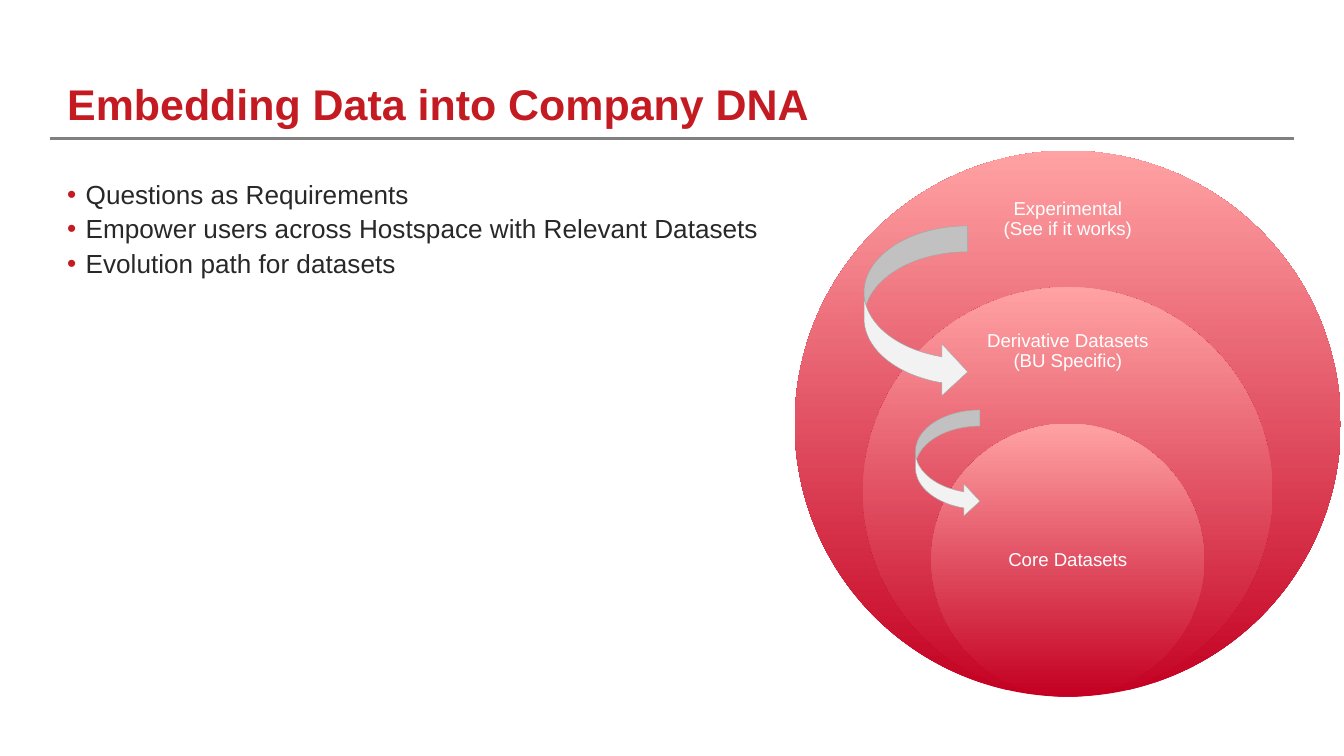
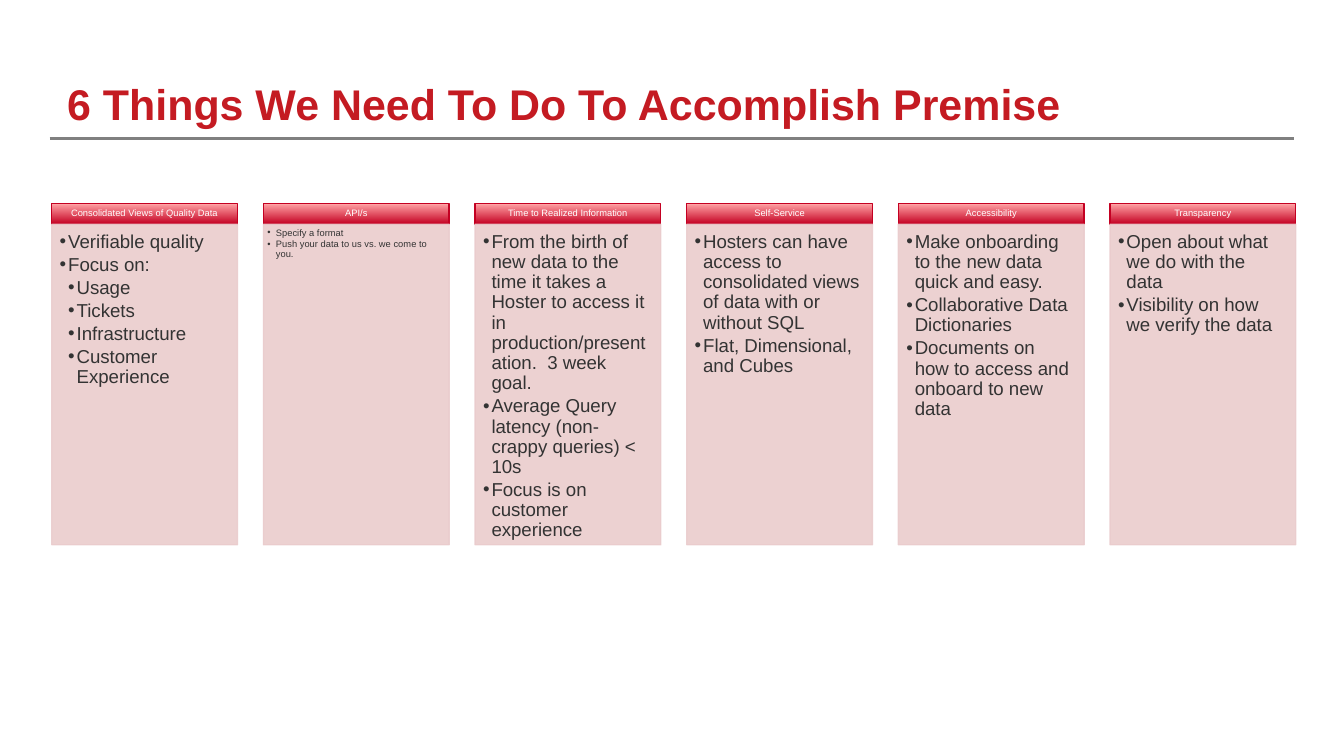
from lxml import etree
from pptx import Presentation
from pptx import util as u
from pptx.dml import color
from pptx.enum import shapes, text
from pptx.oxml import ns

Cm, Pt = u.Cm, u.Pt
RGB = color.RGBColor
RED = RGB(0xC4, 0x1B, 0x22)
DEEP = RGB(0xC4, 0x00, 0x22)
ROSE = RGB(0xFF, 0xA2, 0xA4)
BLUSH = RGB(0xEA, 0xCC, 0xCD)
WHITE = RGB(0xFF, 0xFF, 0xFF)
PALE = RGB(0xF2, 0xF2, 0xF2)
SILVER = RGB(0xA6, 0xA6, 0xA6)
GRAY = RGB(0x80, 0x80, 0x80)
INK = RGB(0x28, 0x28, 0x28)
DARK = RGB(0x33, 0x33, 0x33)
FONT = "Arial"
KIND = shapes.MSO_SHAPE
MID = text.MSO_ANCHOR.MIDDLE
TOP = text.MSO_ANCHOR.TOP
LOW = text.MSO_ANCHOR.BOTTOM
LEFT = text.PP_ALIGN.LEFT
CENTER = text.PP_ALIGN.CENTER

POINTS = [
    "Questions as Requirements",
    "Empower users across Hostspace with Relevant Datasets",
    "Evolution path for datasets",
]
RINGS = [
    (1, "Experimental\n(See if it works)", 0.53, 1.55),
    (0.75, "Derivative Datasets (BU Specific)", 3.07, 1.45),
    (0.5, "Core Datasets", 6.45, 2.59),
]
ARROWS = [(1.31, 1.42, 1.96, 3.25), (2.28, 4.9, 1.22, 2.03)]
THINGS = [
    ("Consolidated Views of Quality Data", 10, [
        (1, "Verifiable quality"),
        (1, "Focus on:"),
        (2, "Usage"),
        (2, "Tickets"),
        (2, "Infrastructure"),
        (2, "Customer Experience"),
    ]),
    ("API/s", 5, [
        (1, "Specify a format"),
        (1, "Push your data to us vs. we come to you."),
    ]),
    ("Time to Realized Information", 10, [
        (1, "From the birth of new data to the time it takes a Hoster to "
            "access it in production/presentation.  3 week goal."),
        (1, "Average Query latency (non-crappy queries) < 10s"),
        (1, "Focus is on customer experience"),
    ]),
    ("Self-Service", 10, [
        (1, "Hosters can have access to consolidated views of data with "
            "or without SQL"),
        (1, "Flat, Dimensional, and Cubes"),
    ]),
    ("Accessibility", 10, [
        (1, "Make onboarding to the new data quick and easy."),
        (1, "Collaborative Data Dictionaries"),
        (1, "Documents on how to access and onboard to new data"),
    ]),
    ("Transparency", 10, [
        (1, "Open about what we do with the data"),
        (1, "Visibility on how we verify the data"),
    ]),
]


def place(box):
    return [Cm(n) for n in box]


def frame(shape, pads, anchor):
    body = shape.text_frame
    body.word_wrap = True
    body.vertical_anchor = anchor
    (body.margin_left, body.margin_top,
     body.margin_right, body.margin_bottom) = place(pads)
    return body


def bullet(para, indent, hang, tint=None):
    props = para._p.get_or_add_pPr()
    props.set("marL", str(Cm(indent)))
    props.set("indent", str(-Cm(hang)))
    if tint is not None:
        mark = etree.SubElement(props, ns.qn("a:buClr"))
        etree.SubElement(mark, ns.qn("a:srgbClr")).set("val", str(tint))
    etree.SubElement(props, ns.qn("a:buFont")).set("typeface", FONT)
    etree.SubElement(props, ns.qn("a:buChar")).set("char", "•")


def write(para, words, size, tint, align=LEFT, bold=False):
    para.alignment = align
    para.line_spacing = 0.9
    for i, line in enumerate(words.split("\n")):
        if i:
            para.add_line_break()
        run = para.add_run()
        run.text = line
        font = run.font
        font.name, font.size, font.bold = FONT, Pt(size), bold
        font.color.rgb = tint


def next_para(body, i):
    return body.add_paragraph() if i else body.paragraphs[0]


def label(slide, box, words, size, tint, pads, anchor,
          align=LEFT, bold=False):
    shape = slide.shapes.add_textbox(*place(box))
    body = frame(shape, pads, anchor)
    write(body.paragraphs[0], words, size, tint, align, bold)


def add_shape(slide, kind, box, fill=None, edge=None, width=0.75):
    shape = slide.shapes.add_shape(kind, *place(box))
    shape.shadow.inherit = False
    if fill is None:
        shape.fill.gradient()
        shape.fill.gradient_angle = 90
        for stop, tint in zip(shape.fill.gradient_stops, (DEEP, ROSE)):
            stop.color.rgb = tint
    else:
        shape.fill.solid()
        shape.fill.fore_color.rgb = fill
    if edge is None:
        shape.line.fill.background()
    else:
        shape.line.color.rgb = edge
        shape.line.width = Pt(width)
    return shape


def fade(shape, share):
    for tint in shape._element.spPr.iter(ns.qn("a:srgbClr")):
        etree.SubElement(tint, ns.qn("a:alpha")).set("val", str(share * 1000))


def new_slide(deck, title):
    slide = deck.slides.add_slide(deck.slide_layouts[6])
    rule = slide.shapes.add_connector(
        shapes.MSO_CONNECTOR.STRAIGHT, *place((0.94, 2.62, 24.46, 2.62)))
    rule.line.color.rgb = GRAY
    rule.line.width = Pt(2)
    etree.SubElement(rule._element.spPr, ns.qn("a:effectLst"))
    label(slide, (1.27, 0, 22.86, 2.46), title, 23, RED, (0, 0, 0, 0),
          LOW, bold=True)
    return slide


def point_list(slide, box):
    body = frame(slide.shapes.add_textbox(*place(box)), (0, 0, 0, 0), TOP)
    for i, words in enumerate(POINTS):
        para = next_para(body, i)
        bullet(para, 0.35, 0.35, RED)
        if i:
            para.space_before = Pt(3.4)
        write(para, words, 14, INK)


def ring_stack(slide, box):
    left, top, width, height = box
    wide = 3.6
    for scale, words, drop, tall in RINGS:
        size = width * scale
        add_shape(slide, KIND.OVAL, (left + (width - size) / 2,
                                     top + height - size, size, size))
        label(slide, (left + (width - wide) / 2, top + drop, wide, tall),
              words, 10, WHITE, (0.2, 0.2, 0.2, 0.2), MID, CENTER)
    for x, y, w, h in ARROWS:
        add_shape(slide, KIND.CURVED_RIGHT_ARROW, (left + x, top + y, w, h),
                  PALE, SILVER, 0.25)


def column(slide, box, title, size, items):
    left, top, width, height = box
    head = 0.39
    bar = add_shape(slide, KIND.RECTANGLE, (left, top, width, head),
                    edge=DEEP)
    body = frame(bar, (0.1, 0.05, 0.1, 0.05), MID)
    write(body.paragraphs[0], title, 5, WHITE, CENTER)

    panel = add_shape(slide, KIND.RECTANGLE,
                      (left, top + head, width, height - head), BLUSH, BLUSH)
    fade(panel, 90)
    pads = [n * size / 10 for n in (0.15, 0.15, 0.2, 0.22)]
    body = frame(panel, pads, TOP)
    for i, (level, words) in enumerate(items):
        para = next_para(body, i)
        bullet(para, 0.16 * level, 0.16)
        para.space_after = Pt(0.15 * size)
        write(para, words, size, DARK)


def column_row(slide, box):
    left, top, width, height = box
    wide = 3.51
    step = (width - wide) / (len(THINGS) - 1)
    for i, thing in enumerate(THINGS):
        column(slide, (left + i * step, top, wide, height), *thing)


def main():
    deck = Presentation()
    deck.slide_width, deck.slide_height = Cm(25.4), Cm(14.29)
    slide = new_slide(deck, "Embedding Data into Company DNA")
    point_list(slide, (1.27, 3.43, 22.86, 2.67))
    ring_stack(slide, (15.02, 2.85, 10.32, 10.32))
    slide = new_slide(deck, "6 Things We Need To Do To Accomplish Premise")
    column_row(slide, (0.98, 3.85, 23.51, 6.45))
    deck.save("out.pptx")


if __name__ == "__main__":
    main()
